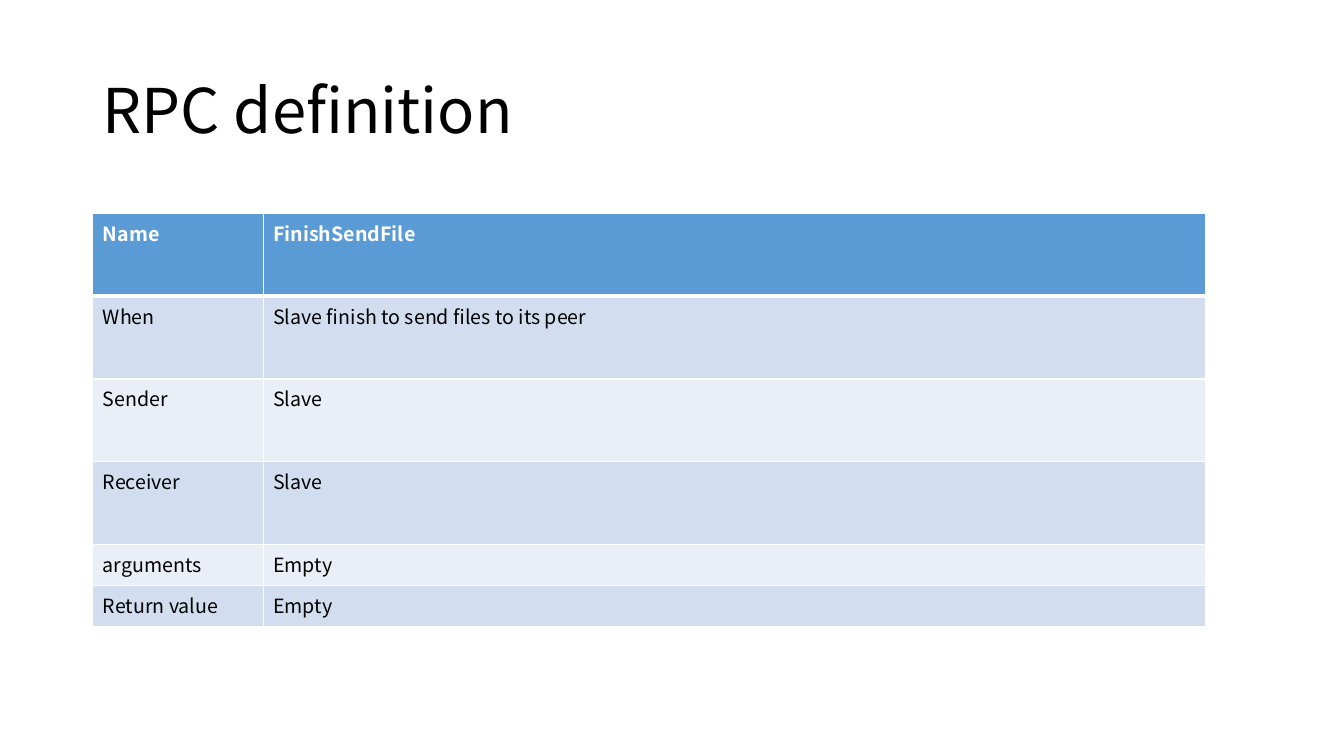
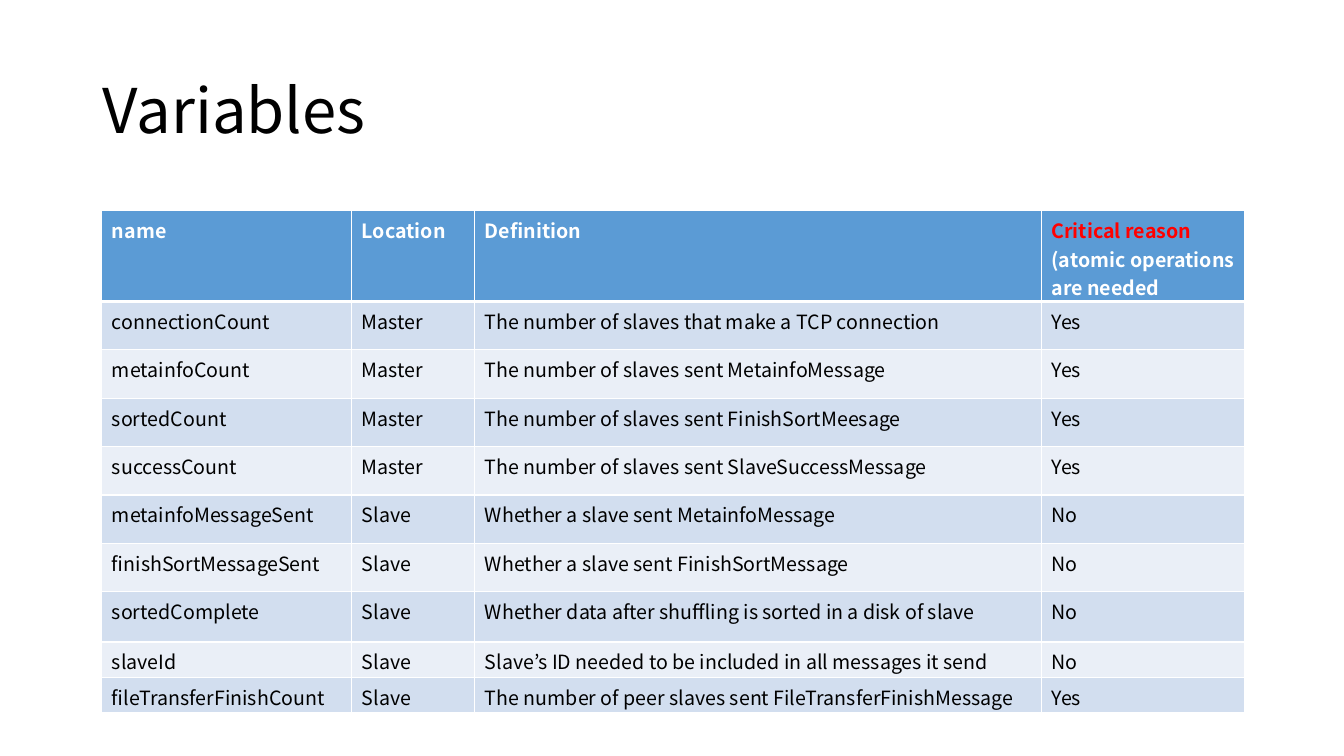
import dataclasses

import pptx
import pptx.dml.color
import pptx.enum.text
import pptx.oxml
import pptx.oxml.ns
import pptx.util

Inches = pptx.util.Inches


@dataclasses.dataclass(frozen=True)
class Theme:
    font: str = "Noto Sans CJK KR"
    title_size: int = 44
    cell_size: int = 14
    text: str = "000000"
    white: str = "FFFFFF"
    alert: str = "FF0000"
    header: str = "5B9BD5"
    bands: tuple = ("D2DEEF", "EAEFF7")
    rule: int = 1
    header_rule: int = 3


def rgb(value):
    return pptx.dml.color.RGBColor.from_string(value)


def add_text(p, text, *, font, size, color, bold=False):
    r = p.add_run()
    r.text = text
    r.font.name = font
    r.font.size = pptx.util.Pt(size)
    r.font.bold = bold
    r.font.color.rgb = rgb(color)


def add_border(cell, side, color, width):
    ns = pptx.oxml.ns.nsdecls("a")
    cell._tc.get_or_add_tcPr().append(pptx.oxml.parse_xml(
        f'<a:ln{side} {ns} w="{pptx.util.Pt(width)}"><a:solidFill>'
        f'<a:srgbClr val="{color}"/></a:solidFill></a:ln{side}>'))


class Deck:
    def __init__(self, theme):
        self.theme = theme
        self.prs = pptx.Presentation()
        self.prs.slide_width = Inches(13.33)
        self.prs.slide_height = Inches(7.5)
        self.s = None

    def slide(self, title):
        self.s = self.prs.slides.add_slide(self.prs.slide_layouts[6])
        self.title(title)

    def title(self, text):
        sp = self.s.shapes.add_textbox(
            Inches(0.92), Inches(0.4), Inches(11.5), Inches(1.45))
        tf = sp.text_frame
        tf.word_wrap = True
        tf.vertical_anchor = pptx.enum.text.MSO_ANCHOR.MIDDLE
        p = tf.paragraphs[0]
        p.line_spacing = 0.9
        add_text(p, text, font=self.theme.font,
                 size=self.theme.title_size, color=self.theme.text)

    def table(self, left, top, widths, heights, rows):
        """Rows hold strings, or lists of (text, color) runs."""
        table = self.s.shapes.add_table(
            len(rows), len(widths), Inches(left), Inches(top),
            Inches(sum(widths)), Inches(sum(heights))).table
        table.horz_banding = False
        for column, width in zip(table.columns, widths):
            column.width = Inches(width)
        for i, (row, height) in enumerate(zip(rows, heights)):
            table.rows[i].height = Inches(height)
            for j, content in enumerate(row):
                self.cell(table.cell(i, j), i, content)

    def cell(self, cell, row, content):
        th = self.theme
        is_header = row == 0
        # Borders come before the fill in the cell properties
        thick = {0: "B", 1: "T"}.get(row)
        for side in "LRTB":
            add_border(cell, side, th.white,
                       th.header_rule if side == thick else th.rule)
        cell.fill.solid()
        cell.fill.fore_color.rgb = rgb(
            th.header if is_header else th.bands[(row - 1) % 2])
        # Text
        if isinstance(content, str):
            content = [(content, th.white if is_header else th.text)]
        for text, color in content:
            add_text(cell.text_frame.paragraphs[0], text, font=th.font,
                     size=th.cell_size, color=color, bold=is_header)


def main():
    theme = Theme()
    deck = Deck(theme)

    # RPC definition
    deck.slide("RPC definition")
    deck.table(0.92, 2.12, [1.69, 9.35], [0.82] * 4 + [0.41] * 2, [
        ("Name", "FinishSendFile"),
        ("When", "Slave finish to send files to its peer"),
        ("Sender", "Slave"),
        ("Receiver", "Slave"),
        ("arguments", "Empty"),
        ("Return value", "Empty"),
    ])

    # Variables
    deck.slide("Variables")
    critical = [("Critical reason ", theme.alert),
                ("(atomic operations are needed", theme.white)]
    deck.table(
        1.01, 2.09, [2.48, 1.22, 5.62, 2.02],
        [0.9] + [0.48] * 6 + [0.5] + [0.35] * 2, [
            ("name", "Location", "Definition", critical),
            ("connectionCount", "Master",
             "The number of slaves that make a TCP connection", "Yes"),
            ("metainfoCount", "Master",
             "The number of slaves sent MetainfoMessage", "Yes"),
            ("sortedCount", "Master",
             "The number of slaves sent FinishSortMeesage", "Yes"),
            ("successCount", "Master",
             "The number of slaves sent SlaveSuccessMessage", "Yes"),
            ("metainfoMessageSent", "Slave",
             "Whether a slave sent MetainfoMessage", "No"),
            ("finishSortMessageSent", "Slave",
             "Whether a slave sent FinishSortMessage", "No"),
            ("sortedComplete", "Slave",
             "Whether data after shuffling is sorted in a disk of slave",
             "No"),
            ("slaveId", "Slave",
             "Slave’s ID needed to be included in all messages it send",
             "No"),
            ("fileTransferFinishCount", "Slave",
             "The number of peer slaves sent FileTransferFinishMessage",
             "Yes"),
        ])

    deck.prs.save("out.pptx")


if __name__ == "__main__":
    main()
